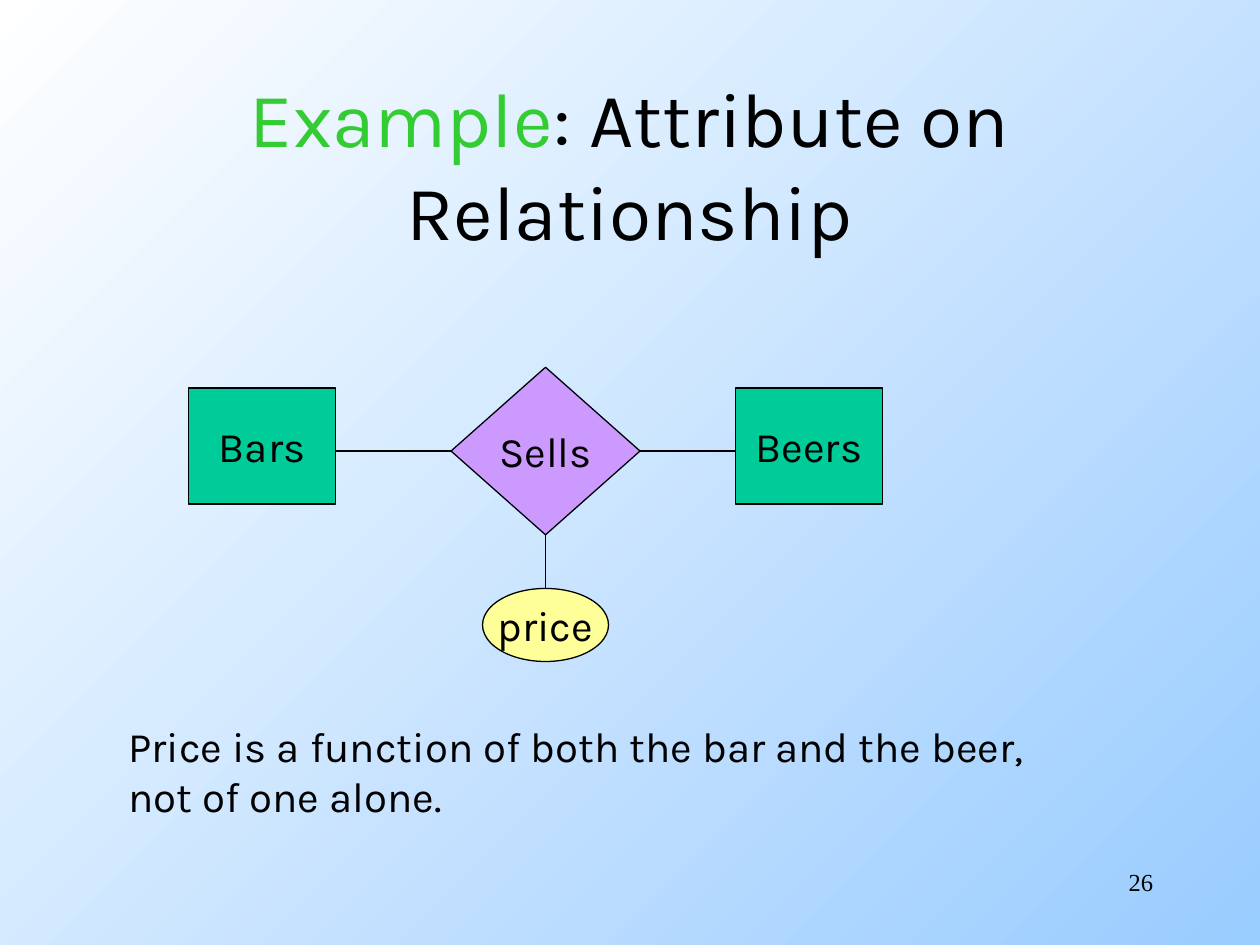
from dataclasses import dataclass

from lxml import etree
from pptx import Presentation
from pptx import util as u
from pptx.dml.color import RGBColor
from pptx.enum import shapes, text
from pptx.oxml.ns import qn


@dataclass(frozen=True)
class Theme:
    font: str = "Karla"
    number_font: str = "Times New Roman"
    ink: str = "000000"
    accent: str = "33CC33"
    entity: str = "00CC99"
    relationship: str = "CC99FF"
    attribute: str = "FFFF99"
    bg_start: str = "FFFFFF"
    bg_end: str = "99CCFF"
    title_size: int = 44
    body_size: int = 24
    number_size: int = 14
    line_width: float = 0.75


def rgb(value):
    return RGBColor.from_string(value)


class Diagram:
    def __init__(self, slide, theme):
        self.s = slide
        self.theme = theme

    def background(self):
        fill = self.s.background.fill
        fill.gradient()
        fill.gradient_angle = 315
        for stop, color in zip(fill.gradient_stops, (self.theme.bg_start, self.theme.bg_end)):
            stop.color.rgb = rgb(color)

    def set_text(self, tf, lines, size, align, font=None):
        for i, runs in enumerate(lines):
            p = tf.paragraphs[0] if i == 0 else tf.add_paragraph()
            p.alignment = align
            p.font.size = u.Pt(size)
            p.font.name = font or self.theme.font
            for words, color in runs:
                r = p.add_run()
                r.text = words
                r.font.color.rgb = rgb(color)

    def textbox(self, box, lines, size, align, anchor=text.MSO_ANCHOR.TOP, font=None):
        tf = self.s.shapes.add_textbox(*map(u.Inches, box)).text_frame
        tf.word_wrap = True
        tf.vertical_anchor = anchor
        self.set_text(tf, lines, size, align, font)

    def node(self, kind, center, size, label, color):
        (cx, cy), (w, h) = center, size
        box = (cx - w / 2, cy - h / 2, w, h)
        sp = self.s.shapes.add_shape(kind, *map(u.Inches, box))
        sp.shadow.inherit = False
        sp.fill.solid()
        sp.fill.fore_color.rgb = rgb(color)
        self.outline(sp.line)
        tf = sp.text_frame
        tf.word_wrap = False
        tf.vertical_anchor = text.MSO_ANCHOR.MIDDLE
        self.set_text(tf, [[(label, self.theme.ink)]], self.theme.body_size, text.PP_ALIGN.CENTER)

    def link(self, start, end):
        cn = self.s.shapes.add_connector(
            shapes.MSO_CONNECTOR.STRAIGHT, *map(u.Inches, (*start, *end)))
        self.outline(cn.line)
        etree.SubElement(cn._element.spPr, qn("a:effectLst"))

    def outline(self, line):
        line.color.rgb = rgb(self.theme.ink)
        line.width = u.Pt(self.theme.line_width)


def main():
    prs = Presentation()
    prs.slide_width, prs.slide_height = u.Inches(10), u.Inches(7.5)
    theme = Theme()
    d = Diagram(prs.slides.add_slide(prs.slide_layouts[6]), theme)
    d.background()

    align = text.PP_ALIGN
    d.textbox((7.17, 6.83, 2.08, 0.5), [[("26", theme.ink)]],
              theme.number_size, align.RIGHT, font=theme.number_font)
    d.textbox((0.75, 0.67, 8.5, 1.25),
              [[("Example", theme.accent), (": Attribute on Relationship", theme.ink)]],
              theme.title_size, align.CENTER, text.MSO_ANCHOR.MIDDLE)

    kind = shapes.MSO_SHAPE
    mid_x, mid_y = 4.33, 3.58
    entity_w, entity_h = 1.17, 0.92
    diamond_w, diamond_h = 1.5, 1.33
    oval_w, oval_h = 1, 0.58
    oval_y = 4.96
    entities = (("Bars", 2.08, -1), ("Beers", 6.42, 1))

    for label, x, side in entities:
        d.node(kind.RECTANGLE, (x, 3.54), (entity_w, entity_h), label, theme.entity)
        d.link((mid_x + side * diamond_w / 2, mid_y), (x - side * entity_w / 2, mid_y))
    d.node(kind.DIAMOND, (mid_x, mid_y), (diamond_w, diamond_h), "Sells", theme.relationship)
    d.node(kind.OVAL, (mid_x, oval_y), (oval_w, oval_h), "price", theme.attribute)
    d.link((mid_x, mid_y + diamond_h / 2), (mid_x, oval_y - oval_h / 2))

    d.textbox((0.92, 5.67, 7.52, 1.3),
              [[("Price is a function of both the bar and the beer,", theme.ink)],
               [("not of one alone.", theme.ink)]],
              theme.body_size, align.LEFT)
    prs.save("out.pptx")


if __name__ == "__main__":
    main()
